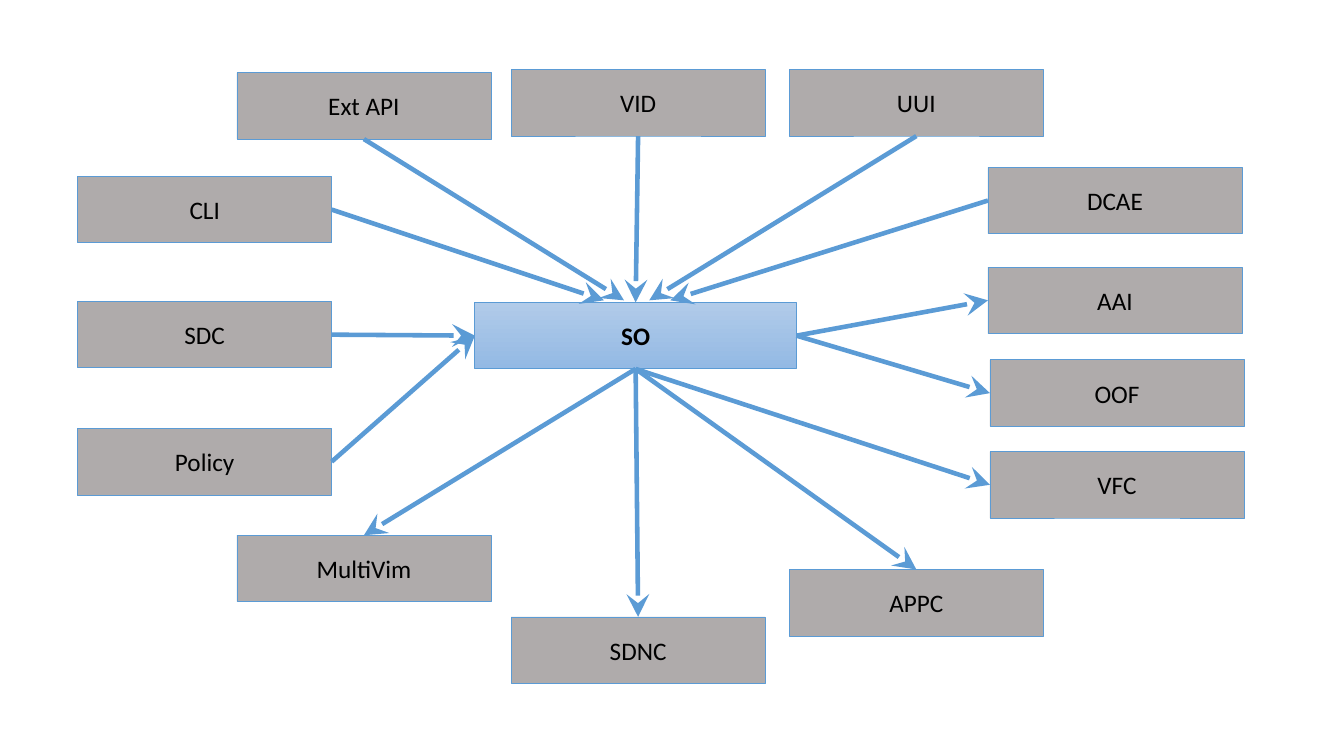
"""Draw the SO hub with the components that call it and those it calls."""
from typing import NamedTuple, Optional

from lxml import etree
from pptx import Presentation
from pptx import util as u
from pptx.dml.color import RGBColor
from pptx.enum import shapes, text
from pptx.oxml.ns import qn

BLUE = RGBColor(0x5B, 0x9B, 0xD5)
PALE = RGBColor(0xB1, 0xCB, 0xE9)
DEEP = RGBColor(0x93, 0xB9, 0xE4)
GRAY = RGBColor(0xAF, 0xAB, 0xAB)
BLACK = RGBColor(0, 0, 0)

WIDE, HIGH = u.Inches(13.33), u.Inches(7.5)
BOX_W, HUB_W, ROW_H = 18.9, 23.93, 8.8
COL_A, COL_B, COL_C, COL_D, COL_E, COL_F = 5.78, 17.63, 38.03, 58.73, 73.51, 73.66
TIP_Y = 39.73
TOP, LEFT, BASE, RIGHT = range(4)


class Node(NamedTuple):
    """A component: its place in percent, its side and the hub's, and a free tip."""
    name: str
    col: float
    row: float
    side: int
    hub: int
    calls: bool = True
    tip: Optional[float] = None


NODES = [
    Node("Ext API", COL_B, 9.6, BASE, TOP, tip=46.43),
    Node("VID", COL_C, 9.2, BASE, TOP),
    Node("UUI", COL_D, 9.2, BASE, TOP, tip=48.31),
    Node("CLI", COL_A, 23.33, RIGHT, TOP, tip=44.93),
    Node("SDC", COL_A, 39.87, RIGHT, LEFT),
    Node("Policy", COL_A, 56.67, RIGHT, LEFT),
    Node("DCAE", COL_E, 22.13, LEFT, TOP, tip=49.88),
    Node("AAI", COL_E, 35.33, LEFT, RIGHT, calls=False),
    Node("OOF", COL_F, 47.6, LEFT, RIGHT, calls=False),
    Node("VFC", COL_F, 59.73, LEFT, BASE, calls=False),
    Node("MultiVim", COL_B, 70.8, TOP, BASE, calls=False),
    Node("SDNC", COL_C, 81.6, TOP, BASE, calls=False),
    Node("APPC", COL_D, 75.33, TOP, BASE, calls=False),
]


def across(part: float) -> int:
    """Turn a percentage of the slide's width into a length."""
    return round(WIDE * part / 100)


def down(part: float) -> int:
    """Turn a percentage of the slide's height into a length."""
    return round(HIGH * part / 100)


def add_box(slide, name: str, col: float, row: float, width: float, bold: bool = False):
    """Add a labelled gray box."""
    box = slide.shapes.add_shape(shapes.MSO_SHAPE.RECTANGLE, across(col), down(row),
                                 across(width), down(ROW_H))
    box.shadow.inherit = False
    box.fill.solid()
    box.fill.fore_color.rgb = GRAY
    box.line.color.rgb = BLUE
    box.line.width = u.Pt(0.5)
    frame = box.text_frame
    frame.vertical_anchor = text.MSO_ANCHOR.MIDDLE
    para = frame.paragraphs[0]
    para.alignment = text.PP_ALIGN.CENTER
    run = para.add_run()
    run.text = name
    font = run.font
    font.name, font.size, font.bold = "Calibri", u.Pt(18), bold
    font.color.rgb = BLACK
    return box


def add_hub(slide):
    """Add the central box with its gradient."""
    hub = add_box(slide, "SO", 35.33, 40, HUB_W, bold=True)
    hub.fill.gradient()
    hub.fill.gradient_angle = 270
    for stop, tone in zip(hub.fill.gradient_stops, (PALE, DEEP)):
        stop.color.rgb = tone
    return hub


def add_link(slide, node: Node, box, hub) -> None:
    """Add the arrow between a component and the hub."""
    tip = across(node.tip or 0), down(TIP_Y)
    link = slide.shapes.add_connector(shapes.MSO_CONNECTOR.STRAIGHT, *tip, *tip)
    ends = [(box, node.side), (hub, node.hub)]
    start, stop = ends if node.calls else reversed(ends)
    link.begin_connect(*start)
    if node.tip is None:
        link.end_connect(*stop)
    link.line.color.rgb = BLUE
    link.line.width = u.Pt(3.25)
    props = link._element.spPr
    etree.SubElement(props.find(qn("a:ln")), qn("a:tailEnd"),
                     type="stealth", w="lg", len="lg")
    etree.SubElement(props, qn("a:effectLst"))


def main() -> None:
    """Build and save the slide."""
    deck = Presentation()
    deck.slide_width, deck.slide_height = WIDE, HIGH
    slide = deck.slides.add_slide(deck.slide_layouts[6])
    hub = add_hub(slide)
    boxes = [add_box(slide, n.name, n.col, n.row, BOX_W) for n in NODES]
    for node, box in zip(NODES, boxes):
        add_link(slide, node, box, hub)
    deck.save("out.pptx")


main()
